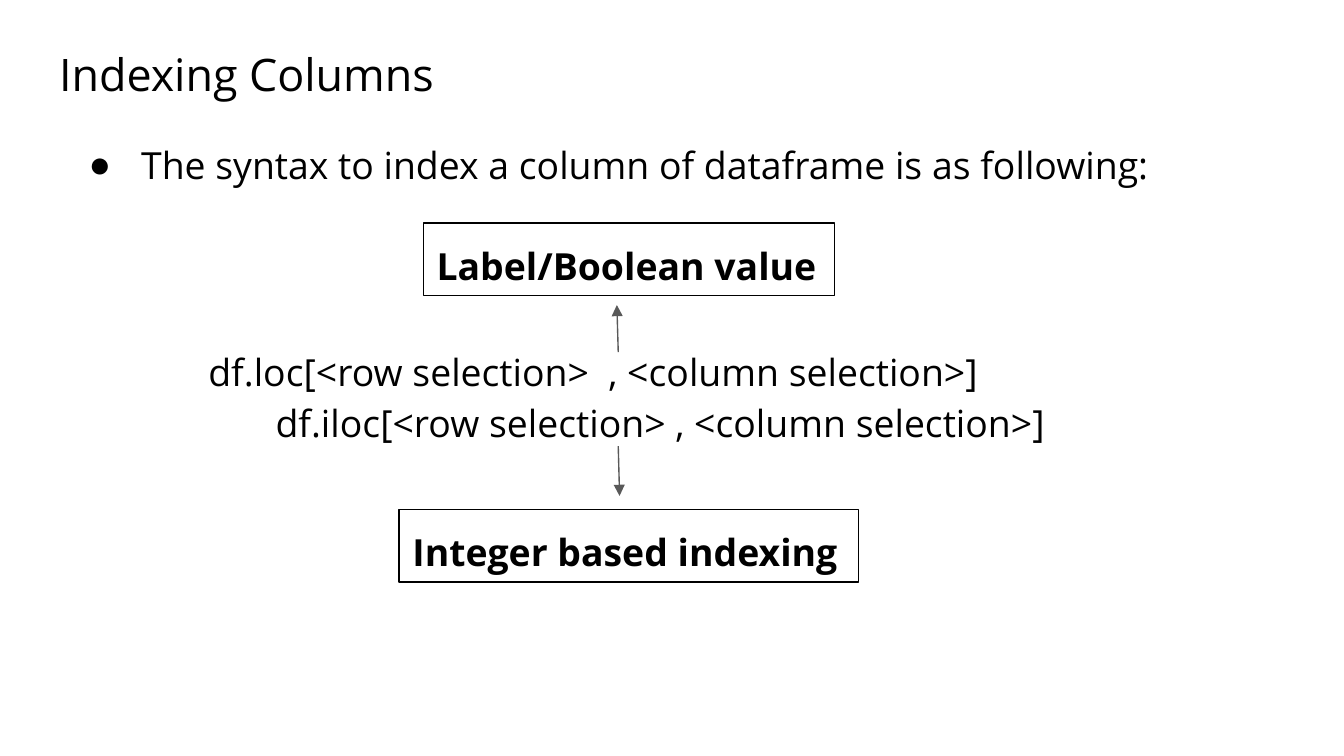
from lxml import etree
from pptx import Presentation
from pptx.dml.color import RGBColor
from pptx.enum import shapes, text
from pptx.oxml import ns
from pptx.util import Inches, Pt

COLORS = {"ink": "000000", "arrow": "595959", "paper": "FFFFFF"}
FONT = "Open Sans"
LINE_SPACING = 1.15
SLIDE_WIDTH = Inches(10)
SLIDE_HEIGHT = SLIDE_WIDTH * 9 // 16

TITLE = ("Indexing Columns", (0.34, 0.25, 4.71, 0.63))
SYNTAX_AREA = (0.45, 0.91, 9.32, 3.91)
SYNTAX = [
    {"words": "The syntax to index a column of dataframe is as following:",
     "indent": -0.39, "before": 0, "bullet": "●"},
    {"words": "df.loc[<row selection>  , <column selection>]",
     "indent": 0.5, "before": 83, "bullet": None},
    {"words": "df.iloc[<row selection> , <column selection>]",
     "indent": 1, "before": 0, "bullet": None},
]
CENTER = 4.68
NOTE_HEIGHT = 0.54
NOTES = [
    {"words": "Label/Boolean value", "top": 1.66, "width": 3.06,
     "arrow": (4.6, 2.62, 4.59, 2.27)},
    {"words": "Integer based indexing", "top": 3.79, "width": 3.42,
     "arrow": (4.6, 3.32, 4.61, 3.69)},
]


def rgb(name):
    return RGBColor.from_string(COLORS[name])


def apply(target, values):
    for name, value in values.items():
        setattr(target, name, value)


def inches(values):
    return [Inches(value) for value in values]


def place(holder, area):
    apply(holder, dict(zip(("left", "top", "width", "height"), inches(area))))


def set_frame(frame, auto_size=text.MSO_AUTO_SIZE.NONE):
    apply(frame, {"word_wrap": True, "auto_size": auto_size,
                  "vertical_anchor": text.MSO_ANCHOR.TOP})
    for side in ("left", "top", "right", "bottom"):
        setattr(frame, f"margin_{side}", Inches(0.1))


def write(paragraph, words, size, bold=False, spacing=LINE_SPACING, before=0):
    apply(paragraph, {"alignment": text.PP_ALIGN.LEFT, "line_spacing": spacing,
                      "space_before": Pt(before), "space_after": Pt(0)})
    run = paragraph.add_run()
    run.text = words
    apply(run.font, {"name": FONT, "size": Pt(size), "bold": bold})
    run.font.color.rgb = rgb("ink")


def set_indent(paragraph, indent, bullet):
    properties = paragraph._p.get_or_add_pPr()
    properties.set("marL", str(Inches(0.5)))
    properties.set("indent", str(Inches(indent)))
    if bullet:
        color = etree.SubElement(properties, ns.qn("a:buClr"))
        etree.SubElement(color, ns.qn("a:srgbClr"), val=COLORS["ink"])
        etree.SubElement(properties, ns.qn("a:buChar"), char=bullet)
    else:
        etree.SubElement(properties, ns.qn("a:buNone"))


def add_note(slide, note):
    left = CENTER - note["width"] / 2
    area = inches((left, note["top"], note["width"], NOTE_HEIGHT))
    box = slide.shapes.add_shape(shapes.MSO_SHAPE.RECTANGLE, *area)
    box.shadow.inherit = False
    box.fill.background()
    box.line.color.rgb = rgb("ink")
    box.line.width = Pt(0.75)
    set_frame(box.text_frame, text.MSO_AUTO_SIZE.SHAPE_TO_FIT_TEXT)
    write(box.text_frame.paragraphs[0], note["words"], 20, bold=True)


def add_arrow(slide, ends):
    arrow = slide.shapes.add_connector(shapes.MSO_CONNECTOR.STRAIGHT, *inches(ends))
    arrow.line.color.rgb = rgb("arrow")
    arrow.line.width = Pt(0.75)
    etree.SubElement(arrow.line._get_or_add_ln(), ns.qn("a:tailEnd"), type="triangle")
    etree.SubElement(arrow._element.spPr, ns.qn("a:effectLst"))


def main():
    deck = Presentation()
    apply(deck, {"slide_width": SLIDE_WIDTH, "slide_height": SLIDE_HEIGHT})
    slide = deck.slides.add_slide(deck.slide_layouts[1])
    slide.background.fill.solid()
    slide.background.fill.fore_color.rgb = rgb("paper")

    heading, syntax = slide.placeholders
    words, area = TITLE
    place(heading, area)
    set_frame(heading.text_frame)
    write(heading.text_frame.paragraphs[0], words, 24, spacing=1.0)

    place(syntax, SYNTAX_AREA)
    frame = syntax.text_frame
    set_frame(frame)
    for number, line in enumerate(SYNTAX):
        paragraph = frame.add_paragraph() if number else frame.paragraphs[0]
        write(paragraph, line["words"], 20, before=line["before"])
        set_indent(paragraph, line["indent"], line["bullet"])

    for note in NOTES:
        add_note(slide, note)
        add_arrow(slide, note["arrow"])
    deck.save("out.pptx")


if __name__ == "__main__":
    main()
